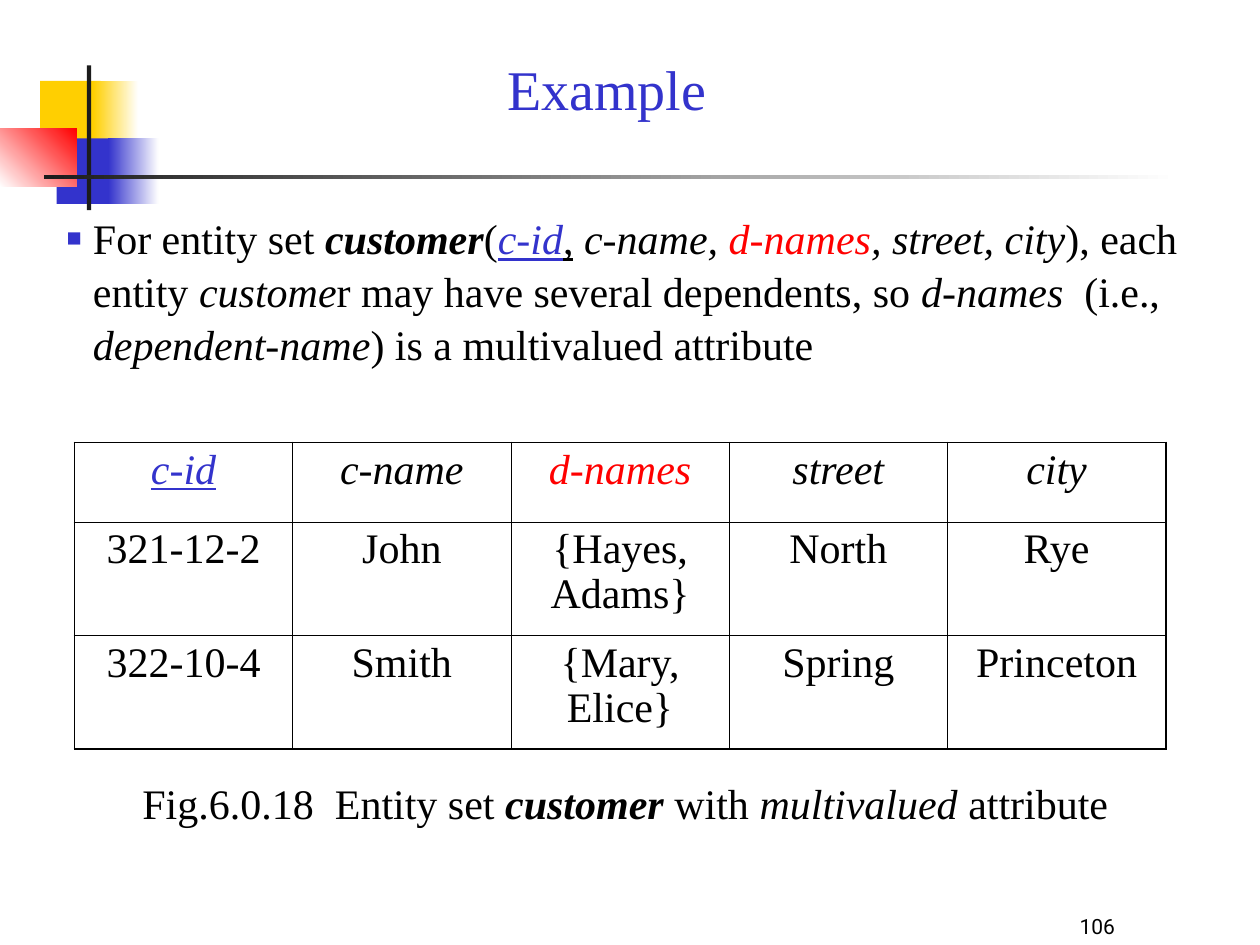
from dataclasses import dataclass

from lxml.etree import SubElement
from pptx import Presentation
from pptx.dml.color import RGBColor
from pptx.enum.shapes import MSO_SHAPE as Preset
from pptx.enum.text import MSO_ANCHOR as Anchor, MSO_AUTO_SIZE as AutoSize, PP_ALIGN as Align
from pptx.oxml.ns import qn
from pptx.util import Cm, Pt


@dataclass(frozen=True)
class Theme:
    black: str = "000000"
    white: str = "FFFFFF"
    blue: str = "3333CC"
    red: str = "FF0000"
    yellow: str = "FFCF01"
    charcoal: str = "1C1C1C"
    font: str = "Times New Roman"
    number_font: str = "Roboto"
    title_size: int = 32
    body_size: int = 24
    number_size: int = 12
    text_spacing: float = 1.05
    cell_spacing: float = 0.96
    outer_border: float = 1.08
    inner_border: float = 0.45


THEME = Theme()

DECORATIONS = [
    ((0.81, 1.63, 1.22, 1.32), [THEME.yellow], 0),
    ((1.88, 1.63, 0.91, 1.32), [THEME.yellow, THEME.white], 0),
    ((1.14, 2.79, 1.17, 1.32), [THEME.blue], 0),
    ((2.18, 2.79, 1.02, 1.32), [THEME.blue, THEME.white], 0),
    ((0, 2.59, 1.55, 1.17), [THEME.white, THEME.red], 45),
    ((1.75, 1.32, 0.09, 2.92), [THEME.charcoal], 0),
    ((0.89, 3.53, 22.86, 0.09), [THEME.charcoal, THEME.white], 0),
]

DESCRIPTION = [
    ("For entity set ", ""), ("customer", "bi"), ("(", ""), ("c-id", "iu", THEME.blue),
    (",", "u"), (" ", "bi"), ("c-name, ", "i"), ("d-names", "i", THEME.red),
    (", street, city", "i"), ("), each entity ", ""), ("custome", "i"),
    ("r may have several dependents, so ", ""), ("d-names ", "i"), (" (i.e., ", ""),
    ("dependent-name", "i"), (") is a multivalued attribute", ""),
]

CAPTION = [
    ("Fig.6.0.18  Entity set ", ""), ("customer", "bi"), (" with ", ""),
    ("multivalued", "i"), (" attribute", ""),
]

CUSTOMERS = [
    [("c-id", "iu", THEME.blue), ("c-name", "i"), ("d-names", "i", THEME.red),
     ("street", "i"), ("city", "i")],
    [(text, "") for text in ("321-12-2", "John", "{Hayes, Adams}", "North", "Rye")],
    [(text, "") for text in ("322-10-4", "Smith", "{Mary, Elice}", "Spring", "Princeton")],
]


class SlideBuilder:
    """Draws styled elements on the current slide."""

    def __init__(self, slide, theme):
        self.slide = slide
        self.theme = theme

    def place(self, shape, box):
        shape.left, shape.top, shape.width, shape.height = map(Cm, box)

    def add_runs(self, paragraph, segments, size, font=None, spacing=None, align=Align.LEFT):
        paragraph.alignment = align
        paragraph.space_before = Pt(0)
        paragraph.line_spacing = spacing or self.theme.text_spacing
        for text, marks, *color in segments:
            run = paragraph.add_run()
            run.text = text
            run.font.name = font or self.theme.font
            run.font.size = Pt(size)
            run.font.bold = "b" in marks
            run.font.italic = "i" in marks
            run.font.underline = "u" in marks
            run.font.color.rgb = RGBColor.from_string(color[0] if color else self.theme.black)

    def rectangle(self, box, colors, angle):
        shape = self.slide.shapes.add_shape(Preset.RECTANGLE, *map(Cm, box))
        shape.shadow.inherit = False
        shape.line.fill.background()
        if len(colors) == 1:
            shape.fill.solid()
            shape.fill.fore_color.rgb = RGBColor.from_string(colors[0])
            return
        shape.fill.gradient()
        shape.fill.gradient_angle = angle
        for stop, color in zip(shape.fill.gradient_stops, colors):
            stop.color.rgb = RGBColor.from_string(color)

    def title(self, text, box):
        shape = self.slide.shapes.title
        self.place(shape, box)
        frame = shape.text_frame
        frame.auto_size = AutoSize.NONE
        frame.vertical_anchor = Anchor.TOP
        self.add_runs(frame.paragraphs[0], [(text, "", self.theme.blue)],
                      self.theme.title_size, align=Align.CENTER)

    def bullet(self, segments, box):
        shape = self.slide.placeholders[1]
        self.place(shape, box)
        frame = shape.text_frame
        frame.auto_size = AutoSize.NONE
        paragraph = frame.paragraphs[0]
        self.add_runs(paragraph, segments, self.theme.body_size)
        properties = paragraph._p.get_or_add_pPr()
        properties.set("marL", str(Cm(0.53)))
        properties.set("indent", str(Cm(-0.53)))
        color = SubElement(properties, qn("a:buClr"))
        SubElement(color, qn("a:srgbClr"), val=self.theme.blue)
        SubElement(properties, qn("a:buSzPct"), val="60000")
        SubElement(properties, qn("a:buFont"), typeface=self.theme.font)
        SubElement(properties, qn("a:buChar"), char="■")

    def text(self, segments, box, size, wrap=True, anchor=Anchor.TOP, **style):
        frame = self.slide.shapes.add_textbox(*map(Cm, box)).text_frame
        frame.word_wrap = wrap
        frame.vertical_anchor = anchor
        self.add_runs(frame.paragraphs[0], segments, size, **style)

    def border(self, cell, side, width):
        line = SubElement(cell._tc.get_or_add_tcPr(), qn(f"a:{side}"), w=str(Pt(width)))
        fill = SubElement(line, qn("a:solidFill"))
        SubElement(fill, qn("a:srgbClr"), val=self.theme.black)

    def table(self, rows, corner, column_width, row_heights):
        row_count, column_count = len(rows), len(rows[0])
        box = (*corner, column_width * column_count, sum(row_heights))
        table = self.slide.shapes.add_table(row_count, column_count, *map(Cm, box)).table
        table.first_row = table.horz_banding = False
        for column in table.columns:
            column.width = Cm(column_width)
        for row, height in zip(table.rows, row_heights):
            row.height = Cm(height)
        for r, row in enumerate(rows):
            for c, segment in enumerate(row):
                cell = table.cell(r, c)
                self.add_runs(cell.text_frame.paragraphs[0], [segment], self.theme.body_size,
                              spacing=self.theme.cell_spacing, align=Align.CENTER)
                edges = {"lnL": c == 0, "lnR": c == column_count - 1,
                         "lnT": r == 0, "lnB": r == row_count - 1}
                for side, outer in edges.items():
                    self.border(cell, side,
                                self.theme.outer_border if outer else self.theme.inner_border)
                cell.fill.background()


def main():
    presentation = Presentation()
    presentation.slide_width, presentation.slide_height = Cm(25.4), Cm(19.05)
    slide = presentation.slides.add_slide(presentation.slide_layouts[1])
    builder = SlideBuilder(slide, THEME)
    for box, colors, angle in DECORATIONS:
        builder.rectangle(box, colors, angle)
    builder.bullet(DESCRIPTION, (1.09, 4.11, 23.06, 12.5))
    builder.title("Example", (2.29, 0.91, 19.89, 1.63))
    builder.table(CUSTOMERS, (1.5, 8.92), 4.4, [1.6, 2.29, 2.29])
    builder.text(CAPTION, (2.62, 15.49, 20.19, 1.27), THEME.body_size, wrap=False)
    builder.text([("106", "")], (19.48, 17.78, 5.28, 1.27), THEME.number_size,
                 anchor=Anchor.BOTTOM, font=THEME.number_font, spacing=1.0, align=Align.CENTER)
    presentation.save("out.pptx")


if __name__ == "__main__":
    main()
